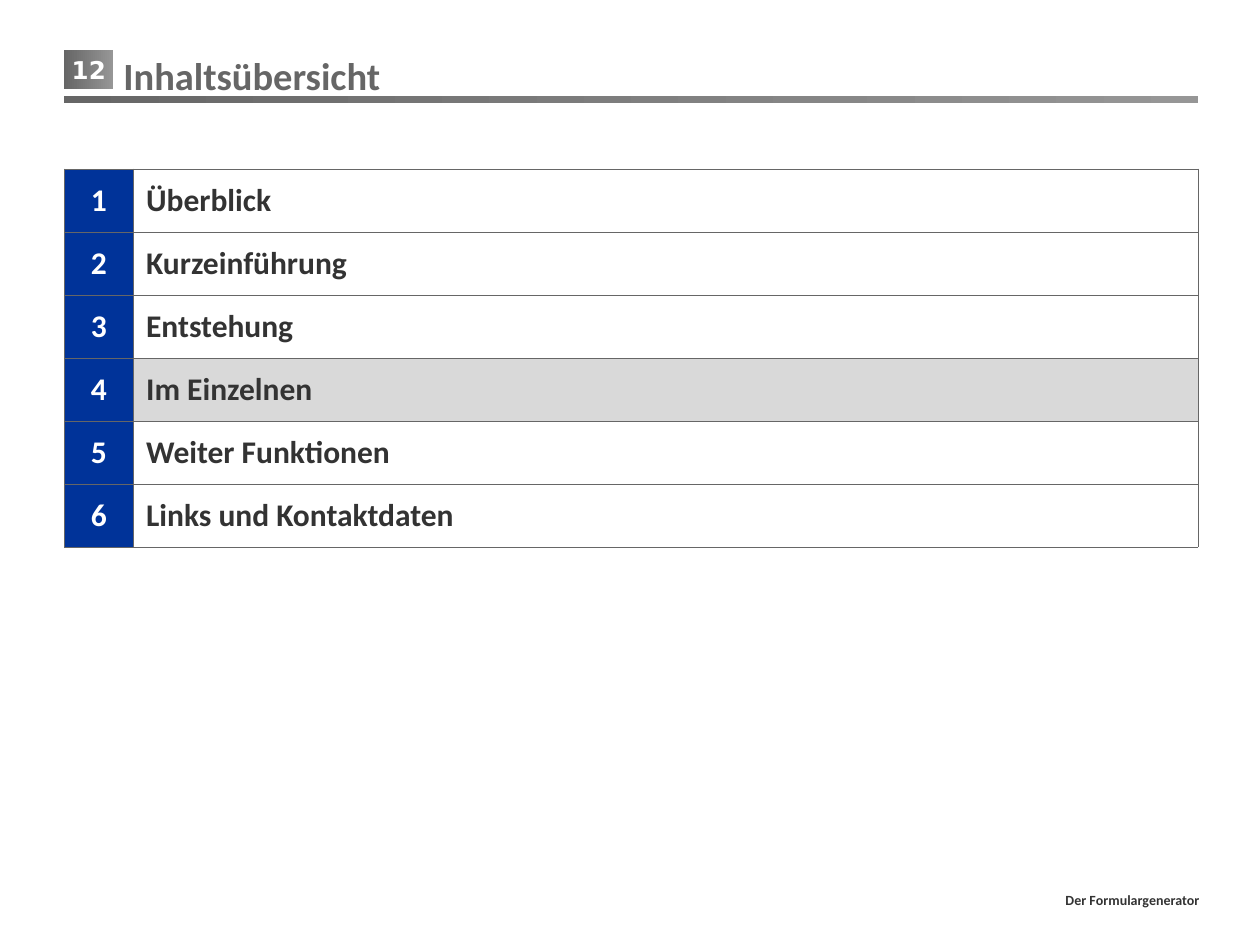
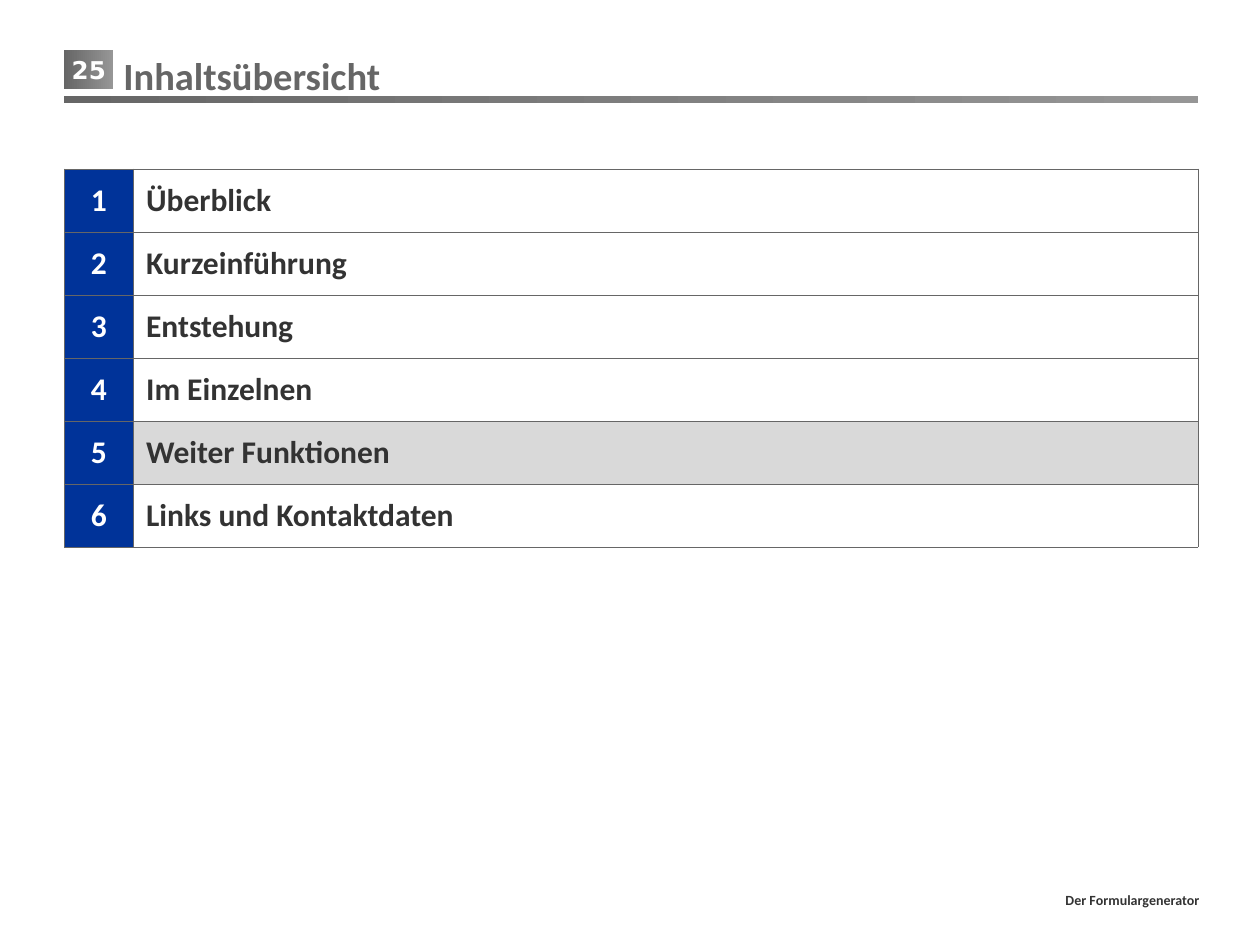
from dataclasses import dataclass

from lxml import etree
from pptx import Presentation
from pptx.dml.color import RGBColor
from pptx.enum import shapes, text
from pptx.oxml import ns
from pptx.util import Inches, Pt

# Shared style
DARK_GRAY = RGBColor(0x66, 0x66, 0x66)
MID_GRAY = RGBColor(0x96, 0x96, 0x96)
TEXT_GRAY = RGBColor(0x33, 0x33, 0x33)
HIGHLIGHT = RGBColor(0xD9, 0xD9, 0xD9)
BLUE = RGBColor(0x00, 0x33, 0x99)
WHITE = RGBColor(0xFF, 0xFF, 0xFF)
BODY_FONT = "Calibri"
NUMBER_FONT = "DejaVu Sans"
LEFT, CENTER, RIGHT = text.PP_ALIGN.LEFT, text.PP_ALIGN.CENTER, text.PP_ALIGN.RIGHT

# Shared layout
MARGIN_LEFT = 0.51
CONTENT_WIDTH = 9
NUMBER_WIDTH = 0.55
ROW_HEIGHT = 0.5
CELL_MARGIN = Inches(0.1)

TITLE = "Inhaltsübersicht"
FOOTER = "Der Formulargenerator"
CHAPTERS = ("Überblick", "Kurzeinführung", "Entstehung", "Im Einzelnen",
            "Weiter Funktionen", "Links und Kontaktdaten")


@dataclass(frozen=True)
class Box:
    left: float
    top: float
    width: float
    height: float

    def lengths(self) -> tuple:
        return tuple(Inches(n) for n in (self.left, self.top, self.width, self.height))


@dataclass(frozen=True)
class AgendaSlide:
    page: int
    current_chapter: int


BADGE = Box(MARGIN_LEFT, 0.4, 0.39, 0.31)
RULE = Box(MARGIN_LEFT, 0.76, CONTENT_WIDTH, 0.06)
TITLE_BOX = Box(0.88, 0.36, 8.67, 0.47)
FOOTER_BOX = Box(1.15, 6.96, 8.47, 0.36)
AGENDA_BOX = Box(MARGIN_LEFT, 1.34, CONTENT_WIDTH, ROW_HEIGHT * len(CHAPTERS))
AGENDA_SLIDES = (AgendaSlide(12, 4), AgendaSlide(25, 5))


def write_text(frame, content: str, *, size: float, color: RGBColor,
               font: str = BODY_FONT, align=LEFT) -> None:
    paragraph = frame.paragraphs[0]
    paragraph.alignment = align
    run = paragraph.add_run()
    run.text = content
    run.font.name = font
    run.font.size = Pt(size)
    run.font.bold = True
    run.font.color.rgb = color


def add_gradient_bar(slide, box: Box):
    shape = slide.shapes.add_shape(shapes.MSO_SHAPE.RECTANGLE, *box.lengths())
    shape.shadow.inherit = False
    shape.line.fill.background()
    shape.fill.gradient()
    shape.fill.gradient_angle = 0
    for stop, color in zip(shape.fill.gradient_stops, (DARK_GRAY, MID_GRAY)):
        stop.color.rgb = color
    return shape


def add_frame(slide, page: int) -> None:
    """Draw the page badge, the rule, the title and the footer."""
    badge = add_gradient_bar(slide, BADGE)
    badge.text_frame.word_wrap = False
    badge.text_frame.vertical_anchor = text.MSO_ANCHOR.MIDDLE
    write_text(badge.text_frame, str(page), size=14, color=WHITE,
               font=NUMBER_FONT, align=CENTER)
    add_gradient_bar(slide, RULE)

    title = slide.shapes.title
    title.left, title.top, title.width, title.height = TITLE_BOX.lengths()
    title.text_frame.auto_size = text.MSO_AUTO_SIZE.NONE
    title.text_frame.vertical_anchor = text.MSO_ANCHOR.MIDDLE
    write_text(title.text_frame, TITLE, size=22, color=DARK_GRAY)

    footer = slide.shapes.add_textbox(*FOOTER_BOX.lengths())
    footer.text_frame.word_wrap = True
    footer.text_frame.vertical_anchor = text.MSO_ANCHOR.MIDDLE
    write_text(footer.text_frame, FOOTER, size=8, color=TEXT_GRAY, align=RIGHT)


def add_borders(cell) -> None:
    properties = cell._tc.get_or_add_tcPr()
    for side in ("a:lnL", "a:lnR", "a:lnT", "a:lnB"):
        line = etree.SubElement(properties, ns.qn(side), w=str(Pt(0.25)))
        fill = etree.SubElement(line, ns.qn("a:solidFill"))
        etree.SubElement(fill, ns.qn("a:srgbClr"), val=str(DARK_GRAY))


def format_cell(cell, content: str, *, fill: RGBColor, color: RGBColor, align=LEFT) -> None:
    cell.margin_left = cell.margin_right = CELL_MARGIN
    cell.margin_top = cell.margin_bottom = CELL_MARGIN
    cell.vertical_anchor = text.MSO_ANCHOR.MIDDLE
    add_borders(cell)
    cell.fill.solid()
    cell.fill.fore_color.rgb = fill
    write_text(cell.text_frame, content, size=18, color=color, align=align)


def add_agenda(slide, current_chapter: int) -> None:
    table = slide.shapes.add_table(len(CHAPTERS), 2, *AGENDA_BOX.lengths()).table
    table.first_row = table.horz_banding = False
    table.columns[0].width = Inches(NUMBER_WIDTH)
    table.columns[1].width = Inches(CONTENT_WIDTH - NUMBER_WIDTH)
    for number, chapter in enumerate(CHAPTERS, start=1):
        number_cell, chapter_cell = table.rows[number - 1].cells
        format_cell(number_cell, str(number), fill=BLUE, color=WHITE, align=CENTER)
        format_cell(chapter_cell, chapter, color=TEXT_GRAY,
                    fill=HIGHLIGHT if number == current_chapter else WHITE)


def main() -> None:
    presentation = Presentation()
    presentation.slide_width, presentation.slide_height = Inches(10), Inches(7.5)
    title_only = presentation.slide_layouts.get_by_name("Title Only")
    for agenda in AGENDA_SLIDES:
        slide = presentation.slides.add_slide(title_only)
        add_frame(slide, agenda.page)
        add_agenda(slide, agenda.current_chapter)
    presentation.save("out.pptx")


if __name__ == "__main__":
    main()
